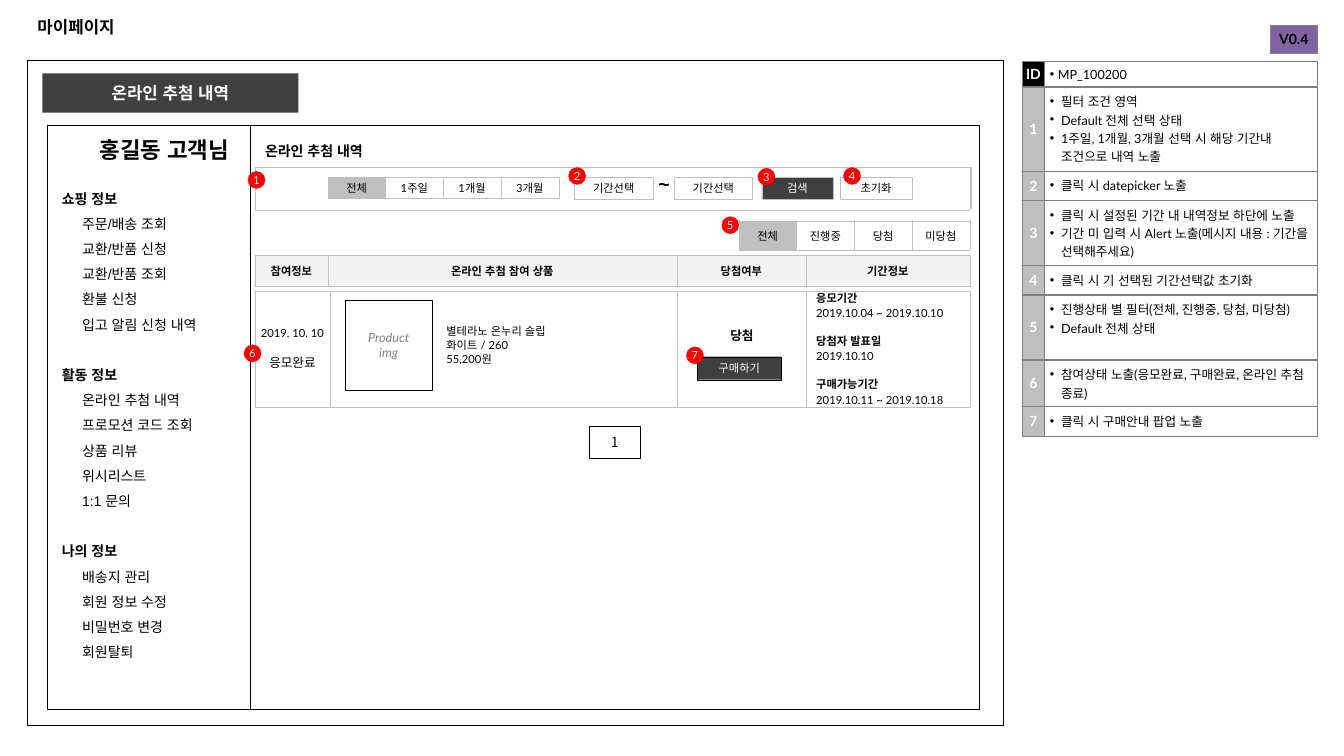
from itertools import product
from lxml.etree import SubElement
from pptx import Presentation
from pptx.dml.color import RGBColor
from pptx.enum.lang import MSO_LANGUAGE_ID as LANG
from pptx.enum.shapes import MSO_SHAPE as SHAPE
from pptx.enum.text import MSO_ANCHOR as ANCHOR, MSO_AUTO_SIZE as AUTO, PP_ALIGN as ALIGN
from pptx.oxml.ns import qn
from pptx.util import Cm, Pt

KOREAN = "Noto Sans CJK KR"
SMALL = dict(size=8, name="Lato", color="000000")
HEADING = dict(size=10, name="Arial", color="000000", bold=True, align=ALIGN.LEFT)
TAB_W = 1.455

MENU = {
    "쇼핑 정보": ["주문/배송 조회", "교환/반품 신청", "교환/반품 조회", "환불 신청", "입고 알림 신청 내역"],
    "활동 정보": ["온라인 추첨 내역", "프로모션 코드 조회", "상품 리뷰", "위시리스트", "1:1 문의"],
    "나의 정보": ["배송지 관리", "회원 정보 수정", "비밀번호 변경", "회원탈퇴"],
}
PERIODS = {
    "응모기간": "2019.10.04 ~ 2019.10.10",
    "당첨자 발표일": "2019.10.10",
    "구매가능기간": "2019.10.11 ~ 2019.10.18",
}
DEFINITIONS = [
    ("ID", 0.62, ["MP_100200"]),
    ("1", 2.12, ["필터 조건 영역", "Default 전체 선택 상태",
                 "1주일, 1개월, 3개월 선택 시 해당 기간내 조건으로 내역 노출"]),
    ("2", 0.74, ["클릭 시 datepicker 노출"]),
    ("3", 1.64, ["클릭 시 설정된 기간 내 내역정보 하단에 노출",
                 "기간 미 입력 시 Alert 노출(메시지 내용 : 기간을 선택해주세요)"]),
    ("4", 0.74, ["클릭 시 기 선택된 기간선택값 초기화"]),
    ("5", 1.64, ["진행상태 별 필터(전체, 진행중, 당첨, 미당첨)", "Default 전체 상태"]),
    ("6", 1.18, ["참여상태 노출(응모완료, 구매완료, 온라인 추첨 종료)"]),
    ("7", 0.74, ["클릭 시 구매안내 팝업 노출"]),
]


def rgb(value):
    return RGBColor.from_string(value)


def paint(fill, color):
    if color:
        fill.solid()
        fill.fore_color.rgb = rgb(color)
    else:
        fill.background()


def set_margins(target, margin):
    for side in ("left", "right", "top", "bottom"):
        setattr(target, f"margin_{side}", Cm(margin))


def write(tf, items, **base):
    for i, item in enumerate(items):
        text, extra = item if isinstance(item, tuple) else (item, {})
        fmt = {**SMALL, "align": ALIGN.CENTER, **base, **extra}
        p = tf.paragraphs[0] if i == 0 else tf.add_paragraph()
        p.alignment = fmt["align"]
        p.space_before = Pt(fmt.get("before", 0))
        if "spacing" in fmt:
            p.line_spacing = Pt(fmt["spacing"])
        pPr = p._p.get_or_add_pPr()
        indent = Cm(fmt.get("indent", 0))
        pPr.set("marL", str(indent))
        pPr.set("indent", str(-indent if "bullet" in fmt else 0))
        if "bullet" in fmt:
            SubElement(pPr, qn("a:buFont")).set("typeface", "Arial")
            SubElement(pPr, qn("a:buChar")).set("char", fmt["bullet"])
        r = p.add_run()
        r.text = text
        values = dict(size=Pt(fmt["size"]), name=fmt["name"], language_id=LANG.KOREAN,
                      bold=fmt.get("bold", False), italic=fmt.get("italic", False))
        for key, value in values.items():
            setattr(r.font, key, value)
        r.font.color.rgb = rgb(fmt["color"])
        SubElement(r._r.get_or_add_rPr(), qn("a:ea")).set("typeface", KOREAN)


def add_box(s, box, items=(), fill=None, line="000000", width=0.25, kind=SHAPE.RECTANGLE, **fmt):
    sp = s.shapes.add_shape(kind, *map(Cm, box))
    sp.shadow.inherit = False
    paint(sp.fill, fill)
    paint(sp.line.fill, line)
    sp.line.width = Pt(width)
    tf = sp.text_frame
    set_margins(tf, 0)
    tf.word_wrap = True
    tf.vertical_anchor = ANCHOR.MIDDLE
    write(tf, items, **fmt)


def add_text(s, box, items, margin=0.25, anchor=ANCHOR.MIDDLE, **fmt):
    tf = s.shapes.add_textbox(*map(Cm, box)).text_frame
    set_margins(tf, margin)
    tf.word_wrap = True
    tf.vertical_anchor = anchor
    write(tf, items, **fmt)


def add_grid(s, x, y, cols, rows, fills, border="BFBFBF", width=0.25):
    frame = s.shapes.add_table(len(rows), len(cols), *map(Cm, (x, y, sum(cols), sum(rows))))
    table = frame.table
    table.first_row = table.horz_banding = False
    for column, size in zip(table.columns, cols):
        column.width = Cm(size)
    for row, size in zip(table.rows, rows):
        row.height = Cm(size)
    for (i, j), fill in zip(product(range(len(rows)), range(len(cols))), fills):
        cell = table.cell(i, j)
        set_margins(cell, 0)
        cell.vertical_anchor = ANCHOR.MIDDLE
        for side in ("L", "R", "T", "B"):
            ln = SubElement(cell._tc.get_or_add_tcPr(), qn(f"a:ln{side}"), w=str(Pt(width)))
            SubElement(SubElement(ln, qn("a:solidFill")), qn("a:srgbClr"), val=border)
        paint(cell.fill, fill)
    return table


def add_tabs(s, x, y, height, labels):
    table = add_grid(s, x, y, [TAB_W] * 4, [height], ["BFBFBF"] + ["FFFFFF"] * 3)
    for j, label in enumerate(labels):
        write(table.cell(0, j).text_frame, [label])


def add_badge(s, x, y, number):
    add_box(s, (x, y, 0.43, 0.43), [str(number)], "FF0000", "FF0000",
            kind=SHAPE.OVAL, color="FFFFFF")


def set_title(s, box):
    title = s.shapes.title
    for key, value in zip(("left", "top", "width", "height"), box):
        setattr(title, key, Cm(value))
    tf = title.text_frame
    tf.auto_size = AUTO.NONE
    tf.vertical_anchor = ANCHOR.MIDDLE
    write(tf, ["마이페이지"], **{**HEADING, "size": 12})


def draw_frame(s, box):
    x, y, w, h = box
    add_box(s, box, width=0.75)
    add_box(s, (x + 0.38, y + 0.33, 6.45, 0.99), ["온라인 추첨 내역"], "404040", None,
            **{**HEADING, "size": 12, "color": "FFFFFF", "align": ALIGN.CENTER})


def draw_sidebar(s, box):
    x, y, w, h = box
    add_box(s, box, fill="FFFFFF")
    items = []
    for group, entries in MENU.items():
        items.append((group, dict(before=18 if items else 0)))
        items += [(entry, dict(bold=False, indent=0.51)) for entry in entries]
    add_text(s, (x + 0.11, y + 1.17, 5, 12.01), items, 0.26, ANCHOR.TOP, spacing=18, **HEADING)
    add_text(s, (x + 1.07, y + 0.23, 4.37, 0.84), ["홍길동 고객님"],
             spacing=18, **{**HEADING, "size": 16})


def draw_filter(s, box):
    x, y, w, h = box
    add_box(s, (x + 0.03, y, w, h - 0.05), line="BFBFBF")
    add_grid(s, x, y, [w], [h], ["FFFFFF"])
    add_tabs(s, x + 1.83, y + 0.25, 0.53, ["전체", "1주일", "1개월", "3개월"])
    for dx, width, label, fill, color in [
            (8.05, 1.98, "기간선택", "FFFFFF", "000000"),
            (10.56, 1.98, "기간선택", "FFFFFF", "000000"),
            (12.77, 1.8, "검색", "404040", "FFFFFF"),
            (14.75, 1.8, "초기화", "FFFFFF", "000000")]:
        add_box(s, (x + dx, y + 0.25, width, 0.55), [label], fill, "BFBFBF", name=KOREAN, color=color)
    add_text(s, (x + 10.05, y - 0.03, 0.51, 0.86), ["~"], 0, size=14, name="Arial", bold=True)
    for number, (dx, dy) in enumerate([(-0.18, 0.1), (7.9, 0), (12.67, 0.02), (14.83, 0)], 1):
        add_badge(s, x + dx, y + dy, number)


def draw_results(s, box):
    x, y, w, h = box
    header = add_grid(s, x, y, [1.83, 8.8, 3.25, 4.13], [0.79], ["F2F2F2"] * 4)
    for j, label in enumerate(["참여정보", "온라인 추첨 참여 상품", "당첨여부", "기간정보"]):
        write(header.cell(0, j).text_frame, [label], bold=True)
    body = add_grid(s, x, y + 0.9, [1.88, 8.76, 3.25, 4.12], [h - 0.9], ["FFFFFF"] * 4)
    periods = []
    for label, dates in PERIODS.items():
        periods += [(label, dict(bold=True, before=10.3 if periods else 0)), dates]
    write(body.cell(0, 0).text_frame, ["2019. 10. 10", ("응모완료", dict(size=9, before=9.6))])
    write(body.cell(0, 2).text_frame, ["당첨"], size=9, bold=True)
    body.cell(0, 2).margin_bottom = Cm(0.7)
    write(body.cell(0, 3).text_frame, periods, align=ALIGN.LEFT, indent=0.25, spacing=10.3)
    add_box(s, (x + 2.26, y + 1.14, 2.21, 2.26), ["Product", "img"],
            size=9, color="808080", italic=True)
    add_text(s, (x + 4.72, y + 1.65, 3.02, 1.22), ["별테라노 온누리 슬립", "화이트 / 260", "55,200원"],
             0.1, align=ALIGN.LEFT, spacing=10)
    add_box(s, (x + 11.15, y + 2.56, 2.11, 0.58), ["구매하기"], "404040", name=KOREAN, color="FFFFFF")
    add_badge(s, x - 0.28, y + 2.26, 6)
    add_badge(s, x + 10.87, y + 2.31, 7)


def draw_content(s, box):
    x, y, w, h = box
    add_box(s, box, fill="FFFFFF")
    add_text(s, (x + 0.13, y + 0.12, 5, 0.84), ["온라인 추첨 내역"], spacing=18, **HEADING)
    draw_filter(s, (x + 0.13, y + 1.07, 18.01, 1.07))
    add_tabs(s, x + 12.32, y + 2.41, 0.74, ["전체", "진행중", "당첨", "미당첨"])
    add_badge(s, x + 11.89, y + 2.31, 5)
    draw_results(s, (x + 0.13, y + 3.28, 18.01, 3.82))
    add_box(s, (x + 8.56, y + 7.59, 1.27, 0.81), ["1"], "FFFFFF", size=10, name=KOREAN)


def draw_definitions(s, box):
    x, y, w, h = box
    version = add_grid(s, x + w - 1.19, y, [1.19], [0.71], ["8064A2"], "7F7F7F", 1)
    write(version.cell(0, 0).text_frame, ["V0.4"], size=10, bold=True)
    fills = ["000000", None] + ["BFBFBF", None] * (len(DEFINITIONS) - 1)
    table = add_grid(s, x, y + 0.91, [0.57, w - 0.57], [d[1] for d in DEFINITIONS], fills, "7F7F7F", 1)
    for i, (key, height, notes) in enumerate(DEFINITIONS):
        write(table.cell(i, 0).text_frame, [key], size=10, bold=True, color="FFFFFF")
        note = table.cell(i, 1)
        set_margins(note, 0.13)
        note.vertical_anchor = ANCHOR.TOP
        write(note.text_frame, notes, size=9, align=ALIGN.LEFT, bullet="•", indent=0.28 if i else 0.2)


def main():
    prs = Presentation()
    prs.slide_width, prs.slide_height = Cm(33.87), Cm(19.05)
    s = prs.slides.add_slide(prs.slide_layouts[5])
    set_title(s, (0.69, 0.18, 32.49, 0.99))
    draw_frame(s, (0.69, 1.52, 24.61, 16.76))
    draw_sidebar(s, (1.19, 3.15, 5.13, 14.73))
    draw_content(s, (6.3, 3.15, 18.39, 14.73))
    draw_definitions(s, (25.76, 0.64, 7.44, 10.36))
    prs.save("out.pptx")


if __name__ == "__main__":
    main()
